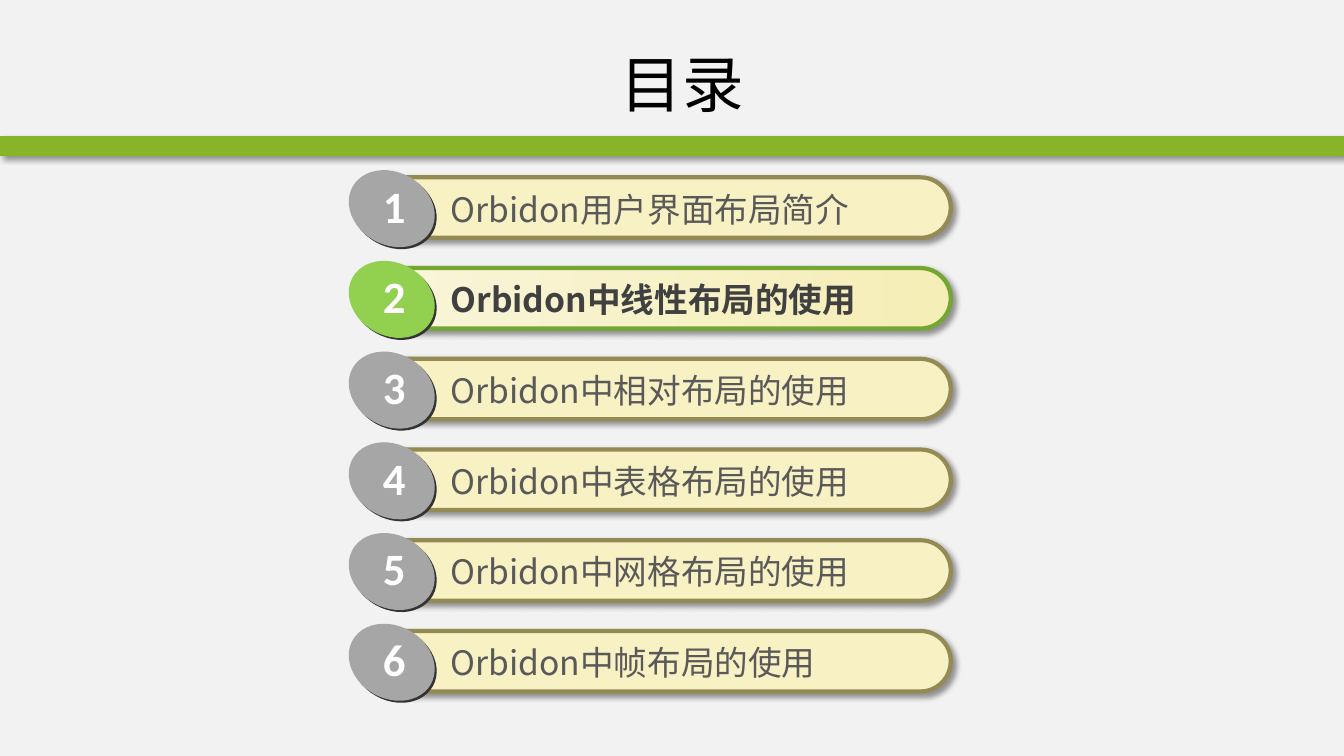
from dataclasses import dataclass

from lxml import etree
from pptx import Presentation, util as u
from pptx.dml.color import RGBColor
from pptx.enum import shapes, text
from pptx.oxml import ns

TITLE = "目录"
TOPICS = [
    "Orbidon用户界面布局简介",
    "Orbidon中线性布局的使用",
    "Orbidon中相对布局的使用",
    "Orbidon中表格布局的使用",
    "Orbidon中网格布局的使用",
    "Orbidon中帧布局的使用",
]
CURRENT = 2


@dataclass(frozen=True)
class Theme:
    paper: str = "F2F2F2"
    band: str = "88B429"
    ink: str = "000000"
    bar: str = "F7F1C4"
    bar_line: str = "948A54"
    topic: str = "595959"
    badge: str = "A6A6A6"
    badge_edge: str = "333333"
    number: str = "FFFFFF"
    current_bar: tuple = ("F9F5D9", "F5EEB7")
    current_line: str = "74A731"
    current_topic: str = "404040"
    current_badge: str = "92D050"
    font: str = "Noto Sans CJK SC"
    number_font: str = "Calibri"
    title_size: int = 44
    number_size: int = 32
    topic_size: int = 24


THEME = Theme()
WIDTH, HEIGHT = 13.33, 7.5
FIRST_ROW, ROW_PITCH = 1.76, 0.9
BAR = (3.66, 0, 5.77, 0.6)
TOPIC = (4.37, 0.06, 4.59, 0.51)
BADGE_EDGE = (3.46, -0.03, 0.89, 0.72)
BADGE = (3.44, -0.05, 0.89, 0.72)
NUMBER = (3.7, -0.04, 0.43, 0.64)
BADGE_TILT = 29.3


def inches(area, top=0):
    left, offset, width, height = area
    return [u.Inches(value) for value in (left, top + offset, width, height)]


def color(code):
    return RGBColor.from_string(code)


def style(para, font, size, code, bold=False):
    para.font.name = font
    para.font.size = u.Pt(size)
    para.font.bold = bold
    para.font.color.rgb = color(code)
    latin = para._p.pPr.find(ns.qn("a:defRPr")).find(ns.qn("a:latin"))
    east = etree.Element(ns.qn("a:ea"), typeface=font)
    latin.addnext(east)


def add_shadow(shape):
    effects = shape._element.spPr.find(ns.qn("a:effectLst"))
    shadow = etree.SubElement(
        effects, ns.qn("a:outerShdw"), blurRad=str(u.Pt(4)), dist=str(u.Pt(3)),
        dir=str(45 * 60000), algn="tl", rotWithShape="0")
    black = etree.SubElement(shadow, ns.qn("a:srgbClr"), val="000000")
    etree.SubElement(black, ns.qn("a:alpha"), val="40000")


def add_shape(parent, kind, area, fill, top=0):
    shape = parent.add_shape(kind, *inches(area, top))
    shape.shadow.inherit = False
    shape.line.fill.background()
    if isinstance(fill, tuple):
        shape.fill.gradient()
        shape.fill.gradient_angle = 0
        for stop, code in zip(shape.fill.gradient_stops, fill):
            stop.color.rgb = color(code)
    else:
        shape.fill.solid()
        shape.fill.fore_color.rgb = color(fill)
    return shape


def add_label(parent, area, top, wording, wrap, *look):
    box = parent.add_textbox(*inches(area, top))
    frame = box.text_frame
    frame.word_wrap = wrap
    frame.auto_size = text.MSO_AUTO_SIZE.SHAPE_TO_FIT_TEXT
    frame.text = wording
    style(frame.paragraphs[0], *look)


def add_topic(page, number, wording):
    current = number == CURRENT
    top = FIRST_ROW + (number - 1) * ROW_PITCH
    group = page.shapes.add_group_shape().shapes

    bar = add_shape(group, shapes.MSO_SHAPE.ROUNDED_RECTANGLE, BAR,
                    THEME.current_bar if current else THEME.bar, top)
    bar.adjustments[0] = 0.5
    bar.line.color.rgb = color(THEME.current_line if current else THEME.bar_line)
    bar.line.width = u.Pt(3)
    add_shadow(bar)

    add_label(group, TOPIC, top, wording, True, THEME.font, THEME.topic_size,
              THEME.current_topic if current else THEME.topic, current)

    face = THEME.current_badge if current else THEME.badge
    for area, fill in ((BADGE_EDGE, THEME.badge_edge), (BADGE, face)):
        add_shape(group, shapes.MSO_SHAPE.OVAL, area, fill, top).rotation = BADGE_TILT

    add_label(group, NUMBER, top, str(number), False,
              THEME.number_font, THEME.number_size, THEME.number, True)


def main():
    deck = Presentation()
    deck.slide_width, deck.slide_height = u.Inches(WIDTH), u.Inches(HEIGHT)
    page = deck.slides.add_slide(deck.slide_layouts[5])
    page.background.fill.solid()
    page.background.fill.fore_color.rgb = color(THEME.paper)

    title = page.shapes.title
    title.left, title.top, title.width, title.height = inches((1.39, 0.3, 10.76, 1.05))
    title.text_frame.text = TITLE
    title.text_frame.vertical_anchor = text.MSO_ANCHOR.MIDDLE
    heading = title.text_frame.paragraphs[0]
    heading.alignment = text.PP_ALIGN.CENTER
    style(heading, THEME.font, THEME.title_size, THEME.ink)

    band = add_shape(page.shapes, shapes.MSO_SHAPE.RECTANGLE,
                     (0, 1.35, WIDTH, 0.2), THEME.band)
    add_shadow(band)

    for number, wording in enumerate(TOPICS, 1):
        add_topic(page, number, wording)

    deck.save("out.pptx")


if __name__ == "__main__":
    main()
